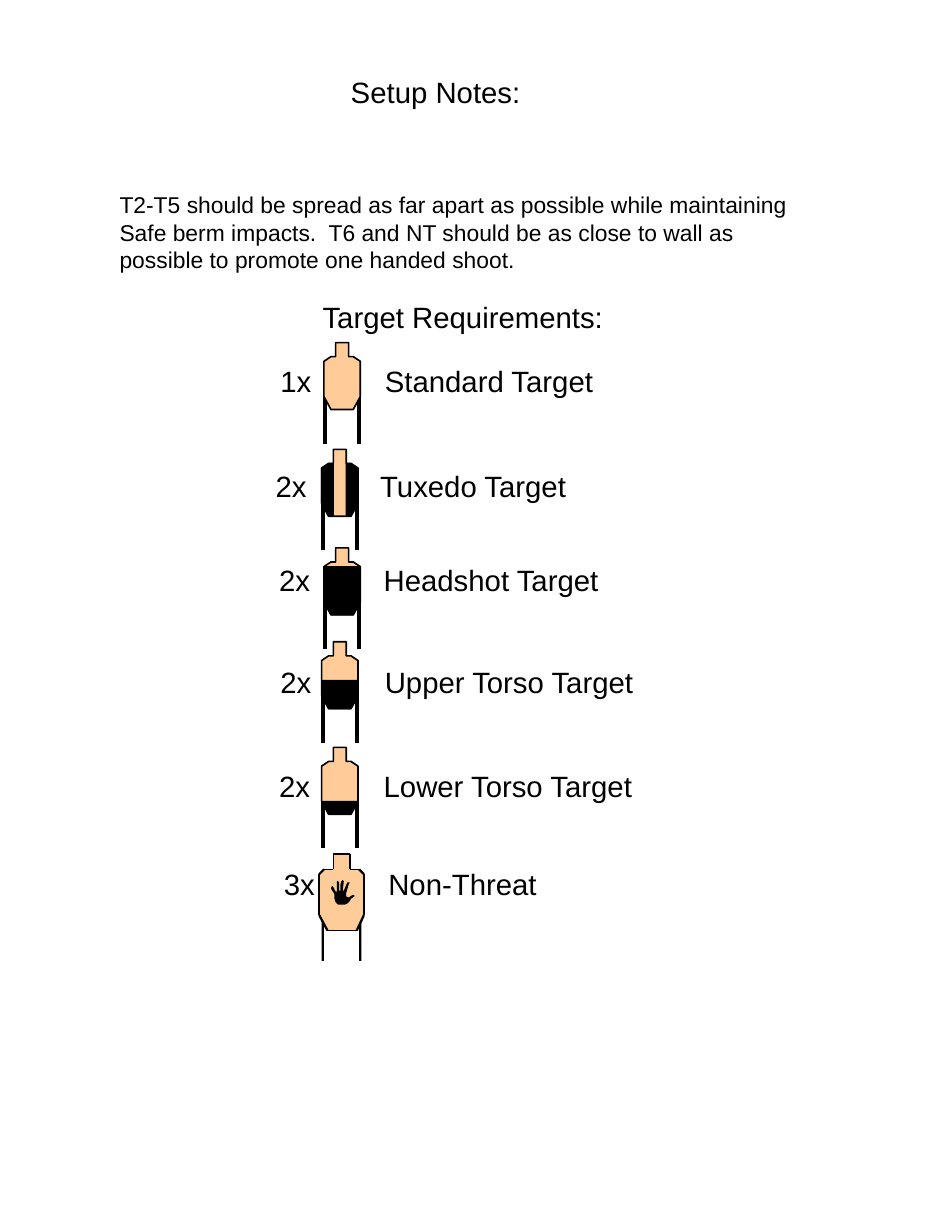
"""Build the setup notes page with its list of target requirements."""
from lxml.etree import SubElement
from pptx import Presentation
from pptx.dml.color import RGBColor
from pptx.enum.shapes import MSO_CONNECTOR, MSO_SHAPE
from pptx.oxml.ns import qn
from pptx.util import Inches, Pt

BLACK, TAN, HAND_TAN = "000000", "FFCC99", "FDCC99"


def add_outline(group, points, fill, line_width=None):
    corners = [(Inches(x), Inches(y)) for x, y in points]
    builder = group.shapes.build_freeform(*corners[0], scale=1.0)
    builder.add_line_segments(corners[1:], close=True)
    outline = builder.convert_to_shape()
    outline.shadow.inherit = False
    outline.fill.solid()
    outline.fill.fore_color.rgb = RGBColor.from_string(fill)
    if line_width is None:
        outline.line.fill.background()
    else:
        outline.line.color.rgb = RGBColor.from_string(BLACK)
        outline.line.width = Pt(line_width)


def add_stroke(group, start, end, width):
    ends = [Inches(value) for value in (*start, *end)]
    stroke = group.shapes.add_connector(MSO_CONNECTOR.STRAIGHT, *ends)
    stroke.line.color.rgb = RGBColor.from_string(BLACK)
    stroke.line.width = Pt(width)
    SubElement(stroke._element.spPr, qn("a:effectLst"))


deck = Presentation()
deck.slide_width, deck.slide_height = Inches(8), Inches(10.5)
page = deck.slides.add_slide(deck.slide_layouts[6])

silhouette = [
    (0.1, 0), (0.21, 0), (0.21, 0.12), (0.25, 0.12), (0.31, 0.16), (0.31, 0.46),
    (0.25, 0.57), (0.06, 0.57), (0, 0.46), (0, 0.16), (0.06, 0.12), (0.1, 0.12),
]
lower_edge = [(0.31, 0.46), (0.25, 0.57), (0.06, 0.57), (0, 0.46)]
right_lapel = [(0.21, 0.12), (0.21, 0.57), (0.25, 0.57), (0.31, 0.46), (0.31, 0.16), (0.25, 0.12)]
left_lapel = [(0.31 - x, y) for x, y in right_lapel]
targets = [
    (2.76, 2.92, []),
    (2.74, 3.83, [right_lapel, left_lapel]),
    (2.76, 4.67, [[(0, 0.16), (0.31, 0.16), *lower_edge]]),
    (2.74, 5.47, [[(0, 0.33), (0.31, 0.33), *lower_edge]]),
    (2.74, 6.37, [lower_edge]),
]
for left, top, hard_covers in targets:
    target = page.shapes.add_group_shape()
    for leg in (left + 0.01, left + 0.3):
        add_stroke(target, (leg, top + 0.42), (leg, top + 0.86), 2.25)
    add_outline(target, [(left + x, top + y) for x, y in silhouette], TAN, 1)
    for cover in hard_covers:
        add_outline(target, [(left + x, top + y) for x, y in cover], BLACK, 0)

non_threat = page.shapes.add_group_shape()
for leg_left in (3.06, 2.74):
    post = non_threat.shapes.add_shape(
        MSO_SHAPE.RECTANGLE, Inches(leg_left), Inches(7.76), Inches(0.02), Inches(0.43))
    post.shadow.inherit = False
    post.fill.solid()
    post.fill.fore_color.rgb = RGBColor.from_string(BLACK)
    post.line.fill.background()

body = [
    (2.84, 7.28), (2.84, 7.41), (2.76, 7.41), (2.72, 7.45), (2.72, 7.8), (2.79, 7.93),
    (3.04, 7.93), (3.1, 7.8), (3.1, 7.45), (3.06, 7.41), (2.98, 7.41), (2.98, 7.28),
]
add_outline(non_threat, body, HAND_TAN)
for start, end in zip(body, body[1:] + body[:1]):
    diagonal = start[0] != end[0] and start[1] != end[1]
    add_stroke(non_threat, start, end, 1.38 if diagonal else 1)

hand = [
    (2.96, 7.7), (2.94, 7.71), (2.88, 7.71), (2.86, 7.69), (2.85, 7.66), (2.85, 7.62),
    (2.83, 7.59), (2.82, 7.57), (2.83, 7.55), (2.84, 7.56), (2.86, 7.6), (2.87, 7.6),
    (2.87, 7.51), (2.88, 7.51), (2.89, 7.52), (2.89, 7.59), (2.9, 7.59), (2.9, 7.54),
    (2.91, 7.51), (2.92, 7.5), (2.93, 7.51), (2.92, 7.59), (2.93, 7.59), (2.96, 7.52),
    (2.98, 7.52), (2.97, 7.54), (2.95, 7.61), (2.95, 7.64), (2.97, 7.65), (3, 7.63),
    (3.02, 7.63), (3.02, 7.64), (2.99, 7.66), (2.98, 7.68),
]
add_outline(non_threat, hand, BLACK)

notes = [
    (2.89, 0.58, 1.66, 0.4, 18, "Setup Notes:"),
    (0.92, 1.58, 6.17, 0.81, 14,
     "T2-T5 should be spread as far apart as possible while maintaining Safe berm impacts.  "
     "T6 and NT should be as close to wall as possible to promote one handed shoot."),
    (2.65, 2.5, 2.7, 0.4, 18, "Target Requirements:"),
    (2.29, 3.05, 2.89, 0.4, 18, "1x\tStandard Target"),
    (2.25, 3.94, 2.69, 0.4, 18, "2x\tTuxedo Target"),
    (2.28, 4.74, 2.95, 0.4, 18, "2x\tHeadshot Target"),
    (2.29, 5.61, 3.24, 0.4, 18, "2x\tUpper Torso Target"),
    (2.28, 6.5, 3.32, 0.4, 18, "2x\tLower Torso Target"),
    (2.32, 7.33, 3.24, 0.4, 18, "3x\tNon-Threat"),
]
for left, top, width, height, size, wording in notes:
    note = page.shapes.add_textbox(Inches(left), Inches(top), Inches(width), Inches(height))
    note.text_frame.word_wrap = True
    paragraph = note.text_frame.paragraphs[0]
    if "\t" in wording:
        tabs = SubElement(paragraph._p.get_or_add_pPr(), qn("a:tabLst"))
        SubElement(tabs, qn("a:tab"), pos=str(Inches(0.89)), algn="l")
    run = paragraph.add_run()
    run.text = wording
    run.font.name = "Arial"
    run.font.size = Pt(size)
    run.font.color.rgb = RGBColor.from_string(BLACK)

deck.save("out.pptx")
